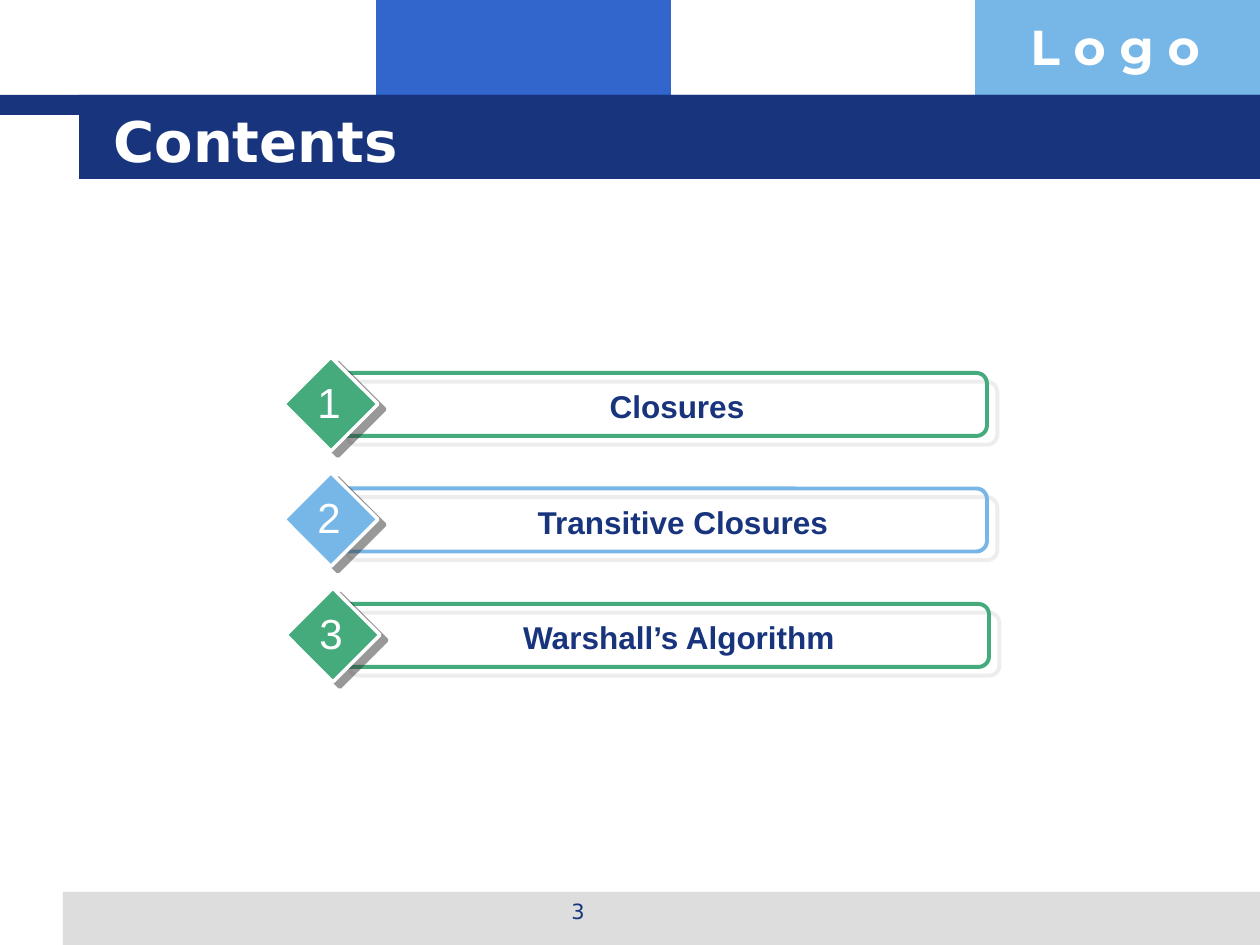
from dataclasses import dataclass
from lxml.etree import SubElement
from pptx import Presentation
from pptx.dml.color import RGBColor
from pptx.enum.shapes import MSO_SHAPE
from pptx.enum.text import MSO_ANCHOR, MSO_AUTO_SIZE, PP_ALIGN
from pptx.oxml.ns import qn
from pptx.util import Pt

TITLE = "Contents"
LOGO = "L o g o"
PAGE = "3"
# text, accent colour, row shift, label left, label width
ITEMS = [
    ("Closures", "green", 0, 357, 640),
    ("Transitive Closures", "sky", 0, 368, 630),
    ("Warshall’s Algorithm", "green", 2, 359, 640),
]


@dataclass(frozen=True)
class Theme:
    navy: str = "17347D"
    blue: str = "3366CC"
    sky: str = "77B7E7"
    green: str = "45AB7D"
    gray: str = "DDDDDD"
    dark: str = "333333"
    white: str = "FFFFFF"
    head: int = 32
    logo: int = 28
    num: int = 24
    label: int = 18
    page: int = 12
    sans: str = "DejaVu Sans"
    body: str = "Arial"
    brand: str = "Montserrat"


T = Theme()
PANELS = [
    ((376, 0, 295, 116), T.blue),
    ((975, 0, 285, 116), T.sky),
    ((63, 892, 1197, 53), T.gray),
    ((0, 95, 1260, 20), T.navy),
    ((79, 95, 1181, 84), T.navy),
]
SCALE = 914400 / 126
TOP, PITCH = 357, 115.5


def emu(*vals):
    return [round(v * SCALE) for v in vals]


def shade(shape, color, dist, angle):
    """Add a hard, half transparent outer shadow."""
    shape.shadow.inherit = False
    effects = shape._element.spPr.find(qn("a:effectLst"))
    outer = SubElement(effects, qn("a:outerShdw"), blurRad="0",
                       dist=str(Pt(dist)), dir=str(angle * 60000),
                       algn="ctr", rotWithShape="0")
    tint = SubElement(outer, qn("a:srgbClr"), val=color)
    SubElement(tint, qn("a:alpha"), val="50000")


def draw(slide, kind, box, fill=None, line=None, width=0):
    shape = slide.shapes.add_shape(kind, *emu(*box))
    shape.shadow.inherit = False
    if fill:
        shape.fill.solid()
        shape.fill.fore_color.rgb = RGBColor.from_string(fill)
    else:
        shape.fill.background()
    if line:
        shape.line.color.rgb = RGBColor.from_string(line)
        shape.line.width = Pt(width)
    else:
        shape.line.fill.background()
    return shape


def style(shape, text, font, size, color, bold=False, align=PP_ALIGN.LEFT):
    frame = shape.text_frame
    frame.text = text
    para = frame.paragraphs[0]
    para.alignment = align
    face = para.runs[0].font
    face.name, face.size, face.bold = font, Pt(size), bold
    face.color.rgb = RGBColor.from_string(color)
    return frame


def write(slide, box, *args, wrap=True, **more):
    shape = slide.shapes.add_textbox(*emu(*box))
    style(shape, *args, **more).word_wrap = wrap


def add_title(slide):
    title = slide.shapes.title
    title.left, title.top, title.width, title.height = emu(101, 101, 1075, 78)
    frame = style(title, TITLE, T.sans, T.head, T.white, bold=True)
    frame.vertical_anchor = MSO_ANCHOR.MIDDLE
    frame.auto_size = MSO_AUTO_SIZE.NONE
    # Bring the title in front of the band
    slide.shapes._spTree.append(title._element)


def add_item(slide, index, item):
    text, accent, shift, left, width = item
    color = getattr(T, accent)
    top = TOP + index * PITCH
    bar = draw(slide, MSO_SHAPE.ROUNDED_RECTANGLE,
               (336 + shift, top + 16, 651, 63), line=color, width=2.25)
    shade(bar, T.gray, 7.8, 40)
    gem = draw(slide, MSO_SHAPE.DIAMOND, (284 + shift, top, 94, 94),
               fill=color, line=T.white, width=2)
    shade(gem, T.dark, 5, 37)
    write(slide, (left, top + 24, width, 50), text, T.body, T.label, T.navy,
          bold=True, align=PP_ALIGN.CENTER)
    write(slide, (305 + shift, top + 13, 48, 63), str(index + 1), T.body,
          T.num, T.white, align=PP_ALIGN.CENTER, wrap=False)


def main():
    deck = Presentation()
    deck.slide_width, deck.slide_height = emu(1260, 945)
    slide = deck.slides.add_slide(deck.slide_layouts[5])
    for box, color in PANELS:
        draw(slide, MSO_SHAPE.RECTANGLE, box, fill=color)
    write(slide, (1018, 10, 242, 72), LOGO, T.brand, T.logo, T.white, bold=True)
    write(slide, (431, 892, 294, 44), PAGE, T.sans, T.page, T.navy,
          align=PP_ALIGN.CENTER)
    add_title(slide)
    for index, item in enumerate(ITEMS):
        add_item(slide, index, item)
    deck.save("out.pptx")


if __name__ == "__main__":
    main()
